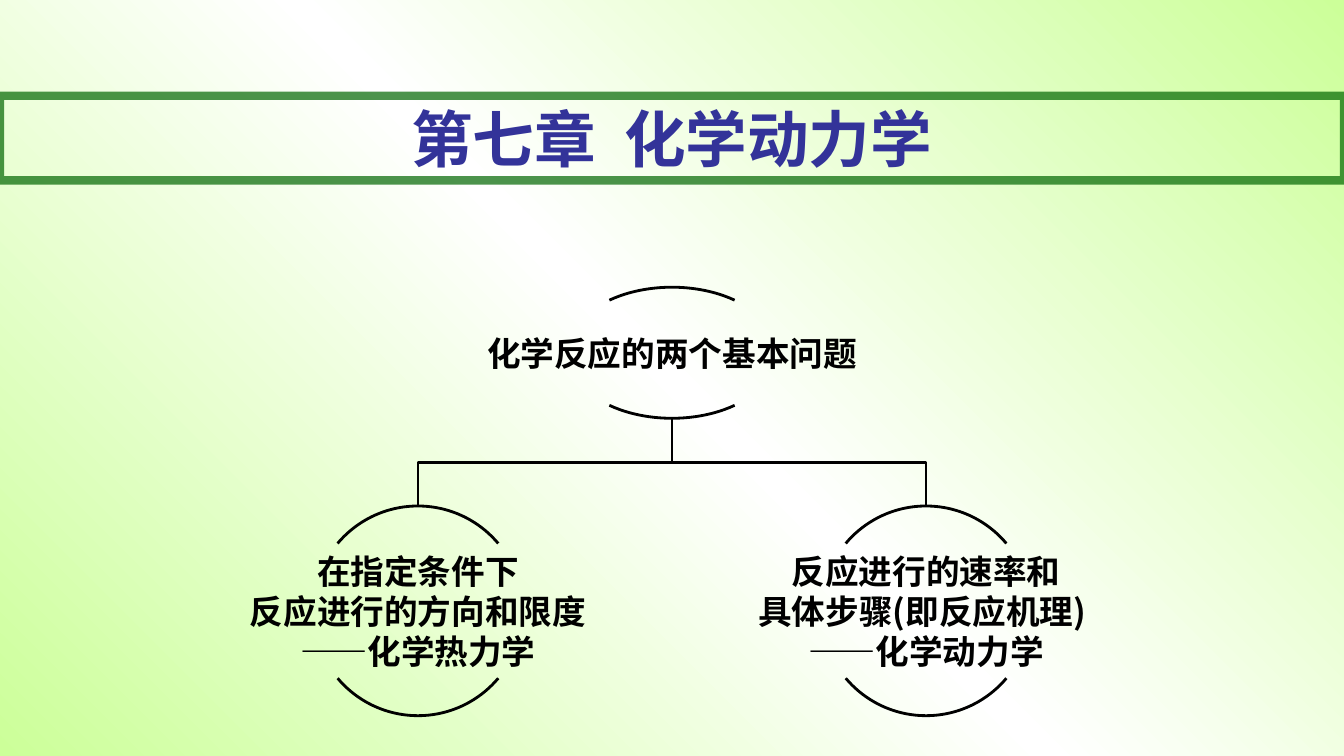
from copy import deepcopy

from lxml import etree
from pptx import Presentation
from pptx.dml.color import RGBColor
from pptx.enum.lang import MSO_LANGUAGE_ID
from pptx.enum.shapes import MSO_SHAPE
from pptx.enum.text import MSO_ANCHOR, MSO_AUTO_SIZE, PP_ALIGN
from pptx.oxml.ns import qn
from pptx.util import Inches, Pt

ARC = MSO_SHAPE.ARC
MIDDLE = MSO_ANCHOR.MIDDLE
CENTER = PP_ALIGN.CENTER
GROW = MSO_AUTO_SIZE.SHAPE_TO_FIT_TEXT
CHINESE = MSO_LANGUAGE_ID.SIMPLIFIED_CHINESE

WIDTH, HEIGHT = 13.33, 7.5
LATIN, HAN = "Arial", "Noto Sans CJK SC"
BLACK, BLUE, GREEN, LIME, WHITE = "000000", "333399", "006600", "CCFF99", "FFFFFF"

# Tree grid: a centre column, with a branch column on either side
CENTRE = WIDTH / 2
BRANCH = 2.52
NODE_WIDTH = 2.08
TEXT_WIDTH = 2 * NODE_WIDTH
ROOT_TOP, ROOT_HEIGHT = 2.85, 1.3
LEAF_TOP, LEAF_HEIGHT = 5.02, 2.08
TEXT_SHARE = 0.64
ARC_SPANS = ((220, 320), (40, 140))
DEGREE = 0.6  # adjustment units in one degree

ROOT_TEXT = [[("化学反应的两个基本问题", LATIN)]]
LEAVES = [
    (-1, [[("在指定条件下", LATIN)],
          [("反应进行的方向和限度", LATIN)],
          [("——化学热力学", LATIN)]]),
    (1, [[("反应进行的速率和", HAN)],
         [("具体步骤(即反应机理) ", HAN)],
         [("——", LATIN), ("化学动力学", HAN)]]),
]


def color(value):
    return RGBColor.from_string(value)


def add_span(para, text, font, size, ink):
    span = para.add_run()
    span.text = text
    span.font.name = font
    span.font.size = Pt(size)
    span.font.bold = True
    span.font.language_id = CHINESE
    span.font.color.rgb = color(ink)
    east_asian = etree.Element(qn("a:ea"), typeface=HAN)
    span.font._element.find(qn("a:latin")).addnext(east_asian)


def style_outline(shape):
    shape.shadow.inherit = False
    shape.fill.background()
    shape.line.color.rgb = color(BLACK)
    shape.line.width = Pt(2)


def paint_background(page):
    fill = page.background.fill
    fill.gradient()
    fill.gradient_angle = 45
    first, last = fill.gradient_stops
    first.color.rgb = color(WHITE)
    first.position = 0.5
    last.color.rgb = color(LIME)
    last.position = 1.0
    # The lime end stop serves at both ends, around the white middle
    stops = page.element.xpath(".//a:gsLst")[0]
    start = deepcopy(stops[-1])
    start.set("pos", "0")
    stops.insert(0, start)


def add_title(page, text):
    title = page.shapes.title
    title.left, title.top = 0, Inches(0.95)
    title.width, title.height = Inches(WIDTH), Inches(0.84)
    title.line.color.rgb = color(GREEN)
    title.line.width = Pt(6)
    tint = title.line._ln.find(".//" + qn("a:srgbClr"))
    etree.SubElement(tint, qn("a:alpha"), val="70000")
    frame = title.text_frame
    frame.vertical_anchor = MIDDLE
    frame.auto_size = GROW
    para = frame.paragraphs[0]
    para.alignment = CENTER
    add_span(para, text, LATIN, 44, BLUE)


def add_branch(page, column):
    start, end = ROOT_TOP + ROOT_HEIGHT, LEAF_TOP
    bend = (start + end) / 2
    points = [(CENTRE, bend), (column, bend), (column, end)]
    builder = page.shapes.build_freeform(Inches(CENTRE), Inches(start))
    builder.add_line_segments([(Inches(x), Inches(y)) for x, y in points], close=False)
    style_outline(builder.convert_to_shape())


def add_node(page, column, top, height, lines):
    # Arcs above and below the text
    for span in ARC_SPANS:
        arc = page.shapes.add_shape(ARC, Inches(column - NODE_WIDTH / 2), Inches(top),
                                    Inches(NODE_WIDTH), Inches(height))
        for index, angle in enumerate(span):
            arc.adjustments[index] = angle * DEGREE
        style_outline(arc)

    # Centred text, wider than the arcs
    text_height = height * TEXT_SHARE
    box = page.shapes.add_textbox(Inches(column - TEXT_WIDTH / 2),
                                  Inches(top + (height - text_height) / 2),
                                  Inches(TEXT_WIDTH), Inches(text_height))
    frame = box.text_frame
    frame.word_wrap = True
    frame.vertical_anchor = MIDDLE
    frame.margin_left = frame.margin_right = Inches(0.02)
    frame.margin_top = frame.margin_bottom = Inches(0.02)
    for index, line in enumerate(lines):
        para = frame.add_paragraph() if index else frame.paragraphs[0]
        para.alignment = CENTER
        for text, font in line:
            add_span(para, text, font, 24, BLACK)


def main():
    deck = Presentation()
    deck.slide_width, deck.slide_height = Inches(WIDTH), Inches(HEIGHT)
    page = deck.slides.add_slide(deck.slide_layouts.get_by_name("Title Only"))
    paint_background(page)
    add_title(page, "第七章  化学动力学")

    # Tree: branches first, then the nodes
    for side, _ in LEAVES:
        add_branch(page, CENTRE + side * BRANCH)
    add_node(page, CENTRE, ROOT_TOP, ROOT_HEIGHT, ROOT_TEXT)
    for side, lines in LEAVES:
        add_node(page, CENTRE + side * BRANCH, LEAF_TOP, LEAF_HEIGHT, lines)
    deck.save("out.pptx")


if __name__ == "__main__":
    main()
